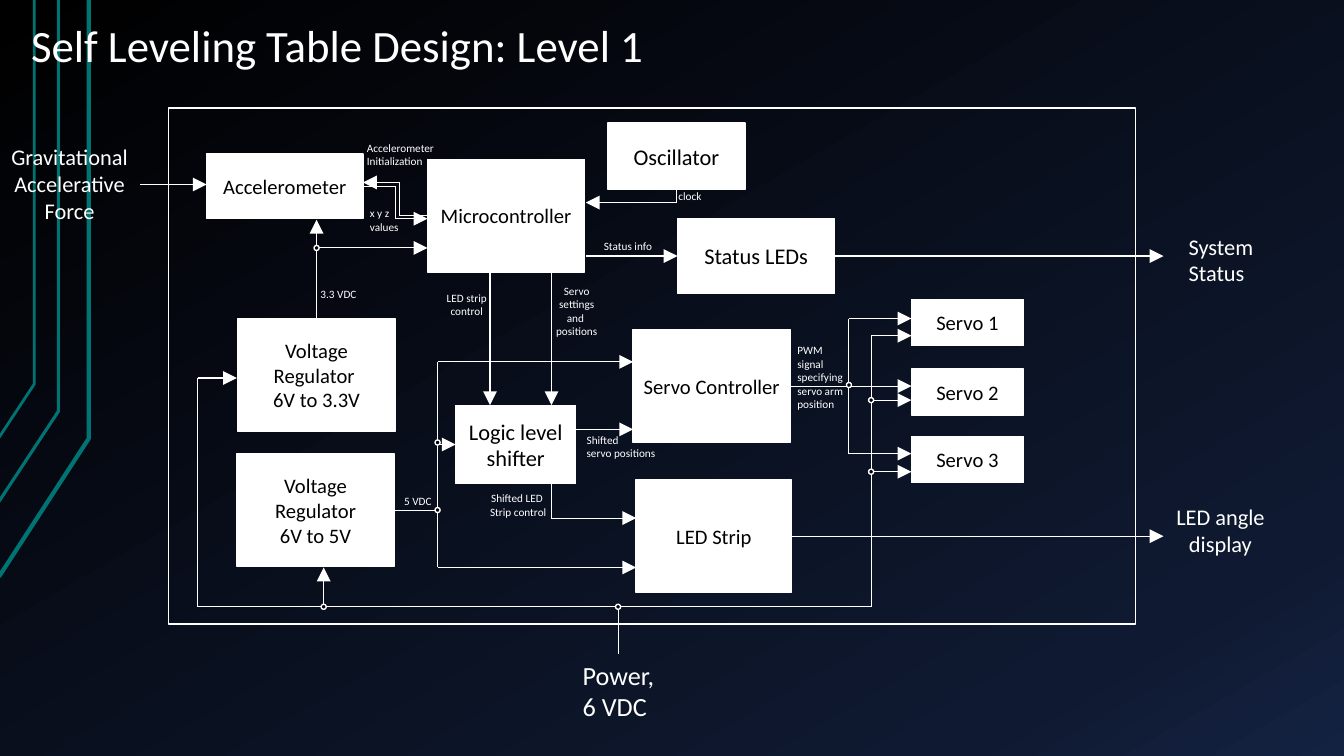
from copy import deepcopy

from pptx import Presentation
from pptx.dml.color import RGBColor
from pptx.enum.shapes import MSO_CONNECTOR as Connector, MSO_SHAPE as Shape
from pptx.enum.text import MSO_ANCHOR as Anchor, PP_ALIGN as Align
from pptx.oxml.ns import qn
from pptx.util import Inches, Pt
from lxml.etree import SubElement

WHITE = RGBColor(0xFF, 0xFF, 0xFF)
BLACK = RGBColor(0x00, 0x00, 0x00)
TEAL = RGBColor(0x00, 0x73, 0x73)
BACKGROUND = [(0, BLACK), (0.85, RGBColor(0x0F, 0x19, 0x31)), (1, RGBColor(0x14, 0x22, 0x42))]
TOP, LEFT, BOTTOM, RIGHT = range(4)

# Decorative tracks: points, line width
TRACKS = [
    ([(-0.01, 5.72), (0.88, 4.35), (0.88, 0)], 3),
    ([(-0.02, 4.99), (0.58, 4.08), (0.58, 0)], 2.25),
    ([(-0.01, 4.34), (0.34, 3.81), (0.34, 0)], 2),
]

FRAME = (1.67, 1.07, 9.59, 5.12)

# Block: text, (left, top, width, height), font size
BLOCKS = {
    "accelerometer": ("Accelerometer", (2.05, 1.53, 1.55, 0.64), 14.7),
    "microcontroller": ("Microcontroller", (4.24, 1.58, 1.56, 1.12), 14.7),
    "oscillator": ("Oscillator", (6.03, 1.22, 1.36, 0.66), 16),
    "status": ("Status LEDs", (6.72, 2.17, 1.56, 0.74), 16),
    "regulator 3.3V": ("Voltage Regulator \n6V to 3.3V", (2.36, 3.16, 1.56, 1.12), 14.7),
    "regulator 5V": ("Voltage Regulator\n6V to 5V", (2.35, 4.5, 1.56, 1.12), 14.7),
    "shifter": ("Logic level shifter", (4.52, 4.02, 1.19, 0.78), 16),
    "servo controller": ("Servo Controller", (6.28, 3.27, 1.56, 1.12), 14.7),
    "strip": ("LED Strip", (6.31, 4.76, 1.54, 1.12), 14.7),
}
SERVO_TOPS = [2.97, 3.66, 4.33]
for number, servo_top in enumerate(SERVO_TOPS, 1):
    BLOCKS[f"servo {number}"] = (f"Servo {number}", (9.04, servo_top, 1.11, 0.46), 14.7)

# Label: text, (left, top, width, height), font size, alignment
LABELS = [
    ("Self Leveling Table Design: Level 1", (0.21, 0.13, 6.6, 0.64), 32, Align.LEFT),
    ("Gravitational Accelerative Force", (-0.01, 1.37, 1.4, 0.91), 16, Align.CENTER),
    ("System Status", (11.69, 2.26, 1.08, 0.64), 16, Align.LEFT),
    ("LED angle \vdisplay ", (11.43, 4.94, 1.4, 0.64), 16, Align.CENTER),
    ("Power,\n6 VDC", (5.68, 6.49, 1.19, 0.71), 18.7, Align.LEFT),
    ("Accelerometer Initialization", (3.54, 1.35, 0.91, 0.33), 8, Align.LEFT),
    ("x y z\nvalues", (3.57, 2, 0.91, 0.37), 8, Align.LEFT),
    ("clock", (6.63, 1.83, 0.5, 0.24), 8, Align.LEFT),
    ("Status info", (5.89, 2.33, 0.75, 0.24), 8, Align.LEFT),
    ("3.3 VDC", (3.08, 2.8, 0.62, 0.24), 8, Align.LEFT),
    ("5 VDC", (3.91, 4.86, 0.55, 0.24), 8, Align.LEFT),
    ("LED strip\ncontrol", (4.31, 2.84, 0.64, 0.37), 8, Align.CENTER),
    ("Servo settings and \npositions", (5.4, 2.77, 0.64, 0.65), 8, Align.CENTER),
    ("Shifted \vservo positions", (5.72, 4.25, 1, 0.37), 8, Align.LEFT),
    ("Shifted LED \nStrip control", (4.74, 4.83, 0.8, 0.37), 8, Align.CENTER),
    ("PWM \vsignal\nspecifying servo arm\nposition", (7.81, 3.36, 0.7, 0.71), 8, Align.LEFT),
]

# Wires: each stop is (x, y) or (block, side)
PWM_X, POWER_X, POWER_Y, FIVE_VOLT_X = 8.42, 8.64, 6.02, 4.34
ARROWS = [
    [(1.39, 1.83), (2.05, 1.83)],
    [("accelerometer", RIGHT), (3.92, 1.85), (3.92, 2.17), (4.24, 2.17)],
    [("microcontroller", LEFT), (3.96, 2.14), (3.96, 1.81), (3.6, 1.81)],
    [("oscillator", BOTTOM), (6.71, 2.01), (5.81, 2.01)],
    [(5.81, 2.54), ("status", LEFT)],
    [("status", RIGHT), (11.54, 2.54)],
    [("regulator 3.3V", TOP), (3.14, 2.18)],
    [(3.14, 2.46), (4.24, 2.46)],
    [(4.86, 2.7), (4.86, 4.02)],
    [(5.47, 2.7), (5.47, 4.02)],
    [(5.71, 4.26), (6.28, 4.26)],
    [(5.47, 4.8), (5.47, 5.14), (6.31, 5.14)],
    [(FIVE_VOLT_X, 5.06), (FIVE_VOLT_X, 3.59), (6.28, 3.59)],
    [(FIVE_VOLT_X, 5.06), (FIVE_VOLT_X, 5.63), (6.31, 5.63)],
    [(FIVE_VOLT_X, 4.41), ("shifter", LEFT)],
    [("strip", RIGHT), (11.54, 5.32)],
    [(6.13, POWER_Y), (1.96, POWER_Y), (1.96, 3.75), (2.35, 3.75)],
    [(3.21, POWER_Y), (3.21, 5.63)],
    [("servo controller", RIGHT), (9.04, 3.83)],
    [(PWM_X, 3.83), (PWM_X, 3.16), (9.04, 3.16)],
    [(PWM_X, 3.83), (PWM_X, 4.5), (9.04, 4.5)],
    [(6.13, POWER_Y), (POWER_X, POWER_Y), (POWER_X, 3.33), (9.04, 3.33)],
    [(POWER_X, 3.97), (9.04, 3.97)],
    [(POWER_X, 4.68), (9.04, 4.68)],
]
PLAIN_WIRES = [
    [("regulator 5V", RIGHT), (FIVE_VOLT_X, 5.06)],
    [(6.13, POWER_Y), (6.13, 6.49)],
]
JUNCTIONS = [(3.14, 2.46), (FIVE_VOLT_X, 4.39), (FIVE_VOLT_X, 5.06), (3.21, POWER_Y),
             (6.13, POWER_Y), (PWM_X, 3.82), (POWER_X, 3.97), (POWER_X, 4.68)]
DOT = 0.05


def apply(target, values):
    for name, value in values.items():
        setattr(target, name, value)


def set_text(shape, text, size, color, align, anchor):
    frame = shape.text_frame
    frame.text = text
    apply(frame, {"word_wrap": True, "vertical_anchor": anchor})
    for paragraph in frame.paragraphs:
        paragraph.alignment = align
        apply(paragraph.font, {"name": "Calibri", "size": Pt(size)})
        paragraph.font.color.rgb = color


def set_line(shape, color, width):
    shape.line.color.rgb = color
    shape.line.width = Pt(width)


def add_preset(slide, kind, bounds, fill=None):
    """Add a white-outlined shape, hollow when no fill is given."""
    shape = slide.shapes.add_shape(kind, *map(Inches, bounds))
    shape.shadow.inherit = False
    if fill is None:
        shape.fill.background()
    else:
        shape.fill.solid()
        shape.fill.fore_color.rgb = fill
    set_line(shape, WHITE, 1)
    return shape


def locate(stop):
    """Return the (x, y) of a stop, taking a block's side middle where named."""
    if not isinstance(stop[0], str):
        return stop
    left, top, width, height = BLOCKS[stop[0]][1]
    across, down = {TOP: (0.5, 0), LEFT: (0, 0.5), BOTTOM: (0.5, 1), RIGHT: (1, 0.5)}[stop[1]]
    return left + across * width, top + down * height


def add_wire(slide, blocks, stops, arrow):
    for start, end in zip(stops, stops[1:]):
        connector = slide.shapes.add_connector(
            Connector.STRAIGHT, *map(Inches, locate(start) + locate(end)))
        set_line(connector, WHITE, 0.75)
        for stop, connect in ((start, connector.begin_connect), (end, connector.end_connect)):
            if stop[0] in blocks:
                connect(blocks[stop[0]], stop[1])
        SubElement(connector._element.spPr, qn("a:effectLst"))
    if arrow:
        SubElement(connector.line._get_or_add_ln(), qn("a:tailEnd"),
                   type="triangle", w="lg", len="lg")


def paint_background(slide):
    fill = slide.background.fill
    fill.gradient()
    fill.gradient_angle = 300
    first_stop = next(slide._element.iter(qn("a:gs")))
    first_stop.addnext(deepcopy(first_stop))
    for stop, (position, color) in zip(fill.gradient_stops, BACKGROUND):
        stop.position = position
        stop.color.rgb = color


def main():
    presentation = Presentation()
    apply(presentation, {"slide_width": Inches(13.33), "slide_height": Inches(7.5)})
    slide = presentation.slides.add_slide(presentation.slide_layouts[6])
    paint_background(slide)

    for points, width in TRACKS:
        start, *rest = [tuple(map(Inches, point)) for point in points]
        builder = slide.shapes.build_freeform(*start)
        builder.add_line_segments(rest, close=False)
        track = builder.convert_to_shape()
        track.shadow.inherit = False
        track.fill.background()
        set_line(track, TEAL, width)

    add_preset(slide, Shape.RECTANGLE, FRAME)
    blocks = {}
    for name, (text, bounds, size) in BLOCKS.items():
        blocks[name] = add_preset(slide, Shape.RECTANGLE, bounds, WHITE)
        set_text(blocks[name], text, size, BLACK, Align.CENTER, Anchor.MIDDLE)

    for wires, arrow in ((ARROWS, True), (PLAIN_WIRES, False)):
        for stops in wires:
            add_wire(slide, blocks, stops, arrow)
    for x, y in JUNCTIONS:
        add_preset(slide, Shape.OVAL, (x - DOT / 2, y - DOT / 2, DOT, DOT), BLACK)

    for text, bounds, size, align in LABELS:
        label = slide.shapes.add_textbox(*map(Inches, bounds))
        set_text(label, text, size, WHITE, align, Anchor.TOP)

    presentation.save("out.pptx")


if __name__ == "__main__":
    main()
